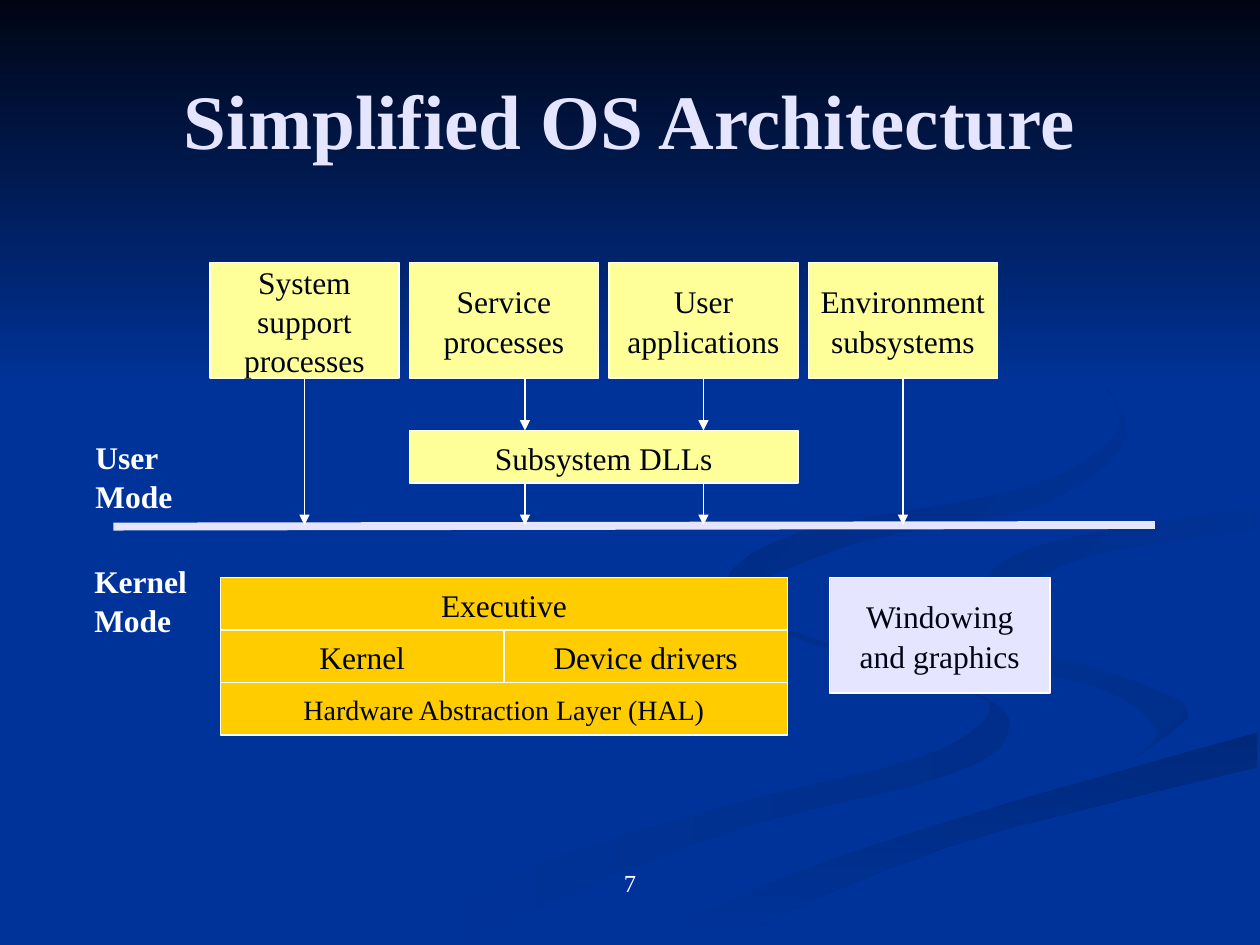
from typing import NamedTuple, Optional

from lxml.etree import SubElement as Sub
from pptx import Presentation as Deck
from pptx.dml.color import RGBColor as Rgb
from pptx.enum.shapes import MSO_CONNECTOR as Link, MSO_SHAPE as Form
from pptx.enum.text import MSO_ANCHOR as Anchor, MSO_AUTO_SIZE as Fit, PP_ALIGN as Align
from pptx.oxml.ns import qn
from pptx.util import Emu, Inches, Pt

COLS, ROWS = 120, 90
WIDE, HIGH = Inches(10), Inches(7.5)
FONT = "Times New Roman"
STEPS = 5
NAVY = Rgb.from_string("003399")
INK = Rgb.from_string("000514")
DUSK = Rgb.from_string("002E8A")
DEEP = Rgb.from_string("00297C")
WHITE = Rgb.from_string("FFFFFF")
PALE = Rgb.from_string("E5E5FF")
CREAM = Rgb.from_string("FFFF99")
GOLD = Rgb.from_string("FFCC00")


class Box(NamedTuple):
    text: str
    col: float
    row: float
    cols: float
    rows: float
    fill: Rgb = CREAM
    size: int = 18


class Arrow(NamedTuple):
    col: float
    top: float
    end: float
    box: Optional[int] = None


class Swirl(NamedTuple):
    first: Rgb
    last: Rgb
    angle: int
    edges: list


RIM = [(503, 749), (630, 693), (797, 638), (998, 581)]
INNER = [(998, 402), (835, 430), (781, 463), (826, 496)]
SWIRLS = [
    Swirl(DUSK, NAVY, 180, [
        [(575, 459), (600, 489), (682, 519), (781, 553), (800, 581), (756, 614),
         (564, 665), (361, 749)],
        [(300, 749), (417, 690), (579, 639), (727, 602), (785, 566), (752, 543),
         (611, 499), (570, 468)]]),
    Swirl(DUSK, NAVY, 225, [
        [(724, 464), (758, 498), (850, 524), (930, 553), (943, 570), (894, 605)],
        [(894, 605), (918, 581), (880, 549), (781, 518), (730, 483)]]),
    Swirl(DEEP, NAVY, 90, [RIM, [(998, 609), (752, 672), (571, 749)]]),
    Swirl(NAVY, NAVY, 0, [
        [(477, 749), (663, 668), (892, 605), (943, 570), (905, 540), (759, 498),
         (725, 464), (742, 439), (874, 408), (998, 387)],
        INNER, [(826, 496), (998, 538)], RIM[::-1]]),
    Swirl(NAVY, DUSK, 225, [INNER, [(826, 496), (806, 476), (859, 443), (998, 420)]]),
    Swirl(NAVY, DEEP, 225, [
        [(762, 233), (843, 275), (894, 344), (825, 402), (683, 430), (593, 470), (622, 500)],
        [(622, 500), (577, 462), (637, 422), (818, 386), (889, 335), (846, 279), (762, 233)]]),
]

HEADS = ["System\vsupport\vprocesses", "Service\vprocesses",
         "User\vapplications", "Environment\vsubsystems"]
BOXES = [Box(text, 20 + 19 * i, 25, 18, 11) for i, text in enumerate(HEADS)] + [
    Box("Subsystem DLLs", 39, 41, 37, 5),
    Box("Executive", 21, 55, 54, 5, GOLD),
    Box("Kernel", 21, 60, 27, 5, GOLD),
    Box("Device drivers", 48, 60, 27, 5, GOLD),
    Box("Hardware Abstraction Layer (HAL)", 21, 65, 54, 5, GOLD, 16),
    Box("Windowing\vand graphics", 79, 55, 21, 11, PALE),
]
LABELS = [Box("User\nMode", 7.9, 41, 9.7, 8.4), Box("Kernel\nMode", 7.8, 52.8, 11.3, 8.4)]
ARROWS = [Arrow(29, 36, 50, 0), Arrow(86, 36, 50, 3), Arrow(50, 46, 50),
          Arrow(67, 46, 50), Arrow(50, 36, 41), Arrow(67, 36, 41, 2)]


def across(cols: float) -> Emu:
    return Emu(round(WIDE * cols / COLS))


def down(rows: float) -> Emu:
    return Emu(round(HIGH * rows / ROWS))


def area(box: Box) -> tuple:
    return across(box.col), down(box.row), across(box.cols), down(box.rows)


def write(shape, text: str, *, size: int = 18, color: Rgb = INK, bold: bool = False,
          align=Align.CENTER, anchor=Anchor.MIDDLE, wrap: bool = False) -> None:
    frame = shape.text_frame
    frame.text = text
    frame.word_wrap = wrap
    frame.vertical_anchor = anchor
    for para in frame.paragraphs:
        para.alignment = align
        para.line_spacing = 1.04
        font = para.font
        font.name, font.size, font.bold = FONT, Pt(size), bold
        font.color.rgb = color


def blend(shape, first: Rgb, last: Rgb, angle: int) -> None:
    shape.shadow.inherit = False
    shape.line.fill.background()
    if first == last:
        shape.fill.solid()
        shape.fill.fore_color.rgb = first
        return
    shape.fill.gradient()
    shape.fill.gradient_angle = (360 - angle) % 360
    for stop, color, place in zip(shape.fill.gradient_stops, (first, last), (0, 1)):
        stop.color.rgb = color
        stop.position = place


def smooth(edge: list) -> list:
    ends = [edge[0], *edge, edge[-1]]
    dots = [edge[0]]
    for a, b, c, d in zip(ends, ends[1:], ends[2:], ends[3:]):
        for step in range(1, STEPS + 1):
            t = step / STEPS
            dots.append(tuple(
                q + t * (r - p) / 2 + t * t * (2 * p - 5 * q + 4 * r - s) / 2
                + t ** 3 * (3 * q - p - 3 * r + s) / 2
                for p, q, r, s in zip(a, b, c, d)))
    return dots


def draw_swirl(shapes, swirl: Swirl) -> None:
    dots = [dot for edge in swirl.edges for dot in smooth(edge)]
    pen = shapes.build_freeform(*dots[0], scale=Inches(1) / 100)
    pen.add_line_segments(dots[1:], close=True)
    blend(pen.convert_to_shape(), swirl.first, swirl.last, swirl.angle)


def draw_box(shapes, box: Box):
    shape = shapes.add_shape(Form.RECTANGLE, *area(box))
    shape.shadow.inherit = False
    shape.fill.solid()
    shape.fill.fore_color.rgb = box.fill
    shape.line.color.rgb = WHITE
    shape.line.width = Pt(0.75)
    write(shape, box.text, size=box.size)
    return shape


def draw_label(shapes, label: Box) -> None:
    shape = shapes.add_textbox(*area(label))
    write(shape, label.text, color=WHITE, bold=True, align=Align.LEFT, anchor=Anchor.TOP)
    shape.text_frame.auto_size = Fit.SHAPE_TO_FIT_TEXT


def draw_line(shapes, start: tuple, end: tuple, color: Rgb, width: float,
              head: bool = False, box=None) -> None:
    line = shapes.add_connector(Link.STRAIGHT, across(start[0]), down(start[1]),
                                across(end[0]), down(end[1]))
    if box is not None:
        line.begin_connect(box, 2)
    line.line.color.rgb = color
    line.line.width = Pt(width)
    props = line.element.spPr
    if head:
        Sub(props.find(qn("a:ln")), qn("a:tailEnd"), type="triangle")
    Sub(props, qn("a:effectLst"))


def main() -> None:
    deck = Deck()
    deck.slide_width, deck.slide_height = WIDE, HIGH
    slide = deck.slides.add_slide(deck.slide_layouts[5])
    slide.background.fill.solid()
    slide.background.fill.fore_color.rgb = NAVY
    shapes = slide.shapes

    for swirl in SWIRLS:
        draw_swirl(shapes, swirl)
    band = shapes.add_shape(Form.RECTANGLE, 0, 0, WIDE, down(37))
    blend(band, INK, NAVY, 90)

    number = shapes.add_textbox(across(41), down(82), across(38), down(6))
    write(number, "7", size=14, color=WHITE, anchor=Anchor.TOP, wrap=True)

    title = shapes.title
    shapes.element.append(title.element)
    title.left, title.top, title.width, title.height = (
        across(6), down(3.6), across(108), down(15))
    write(title, "Simplified OS Architecture", size=44, color=PALE, bold=True, wrap=True)

    boxes = [draw_box(shapes, box) for box in BOXES]
    draw_line(shapes, (10.8, 50.15), (110, 50), PALE, 4.5)
    for label in LABELS:
        draw_label(shapes, label)
    for arrow in ARROWS:
        box = None if arrow.box is None else boxes[arrow.box]
        draw_line(shapes, (arrow.col, arrow.top), (arrow.col, arrow.end), WHITE, 0.75, True, box)

    deck.save("out.pptx")


if __name__ == "__main__":
    main()
